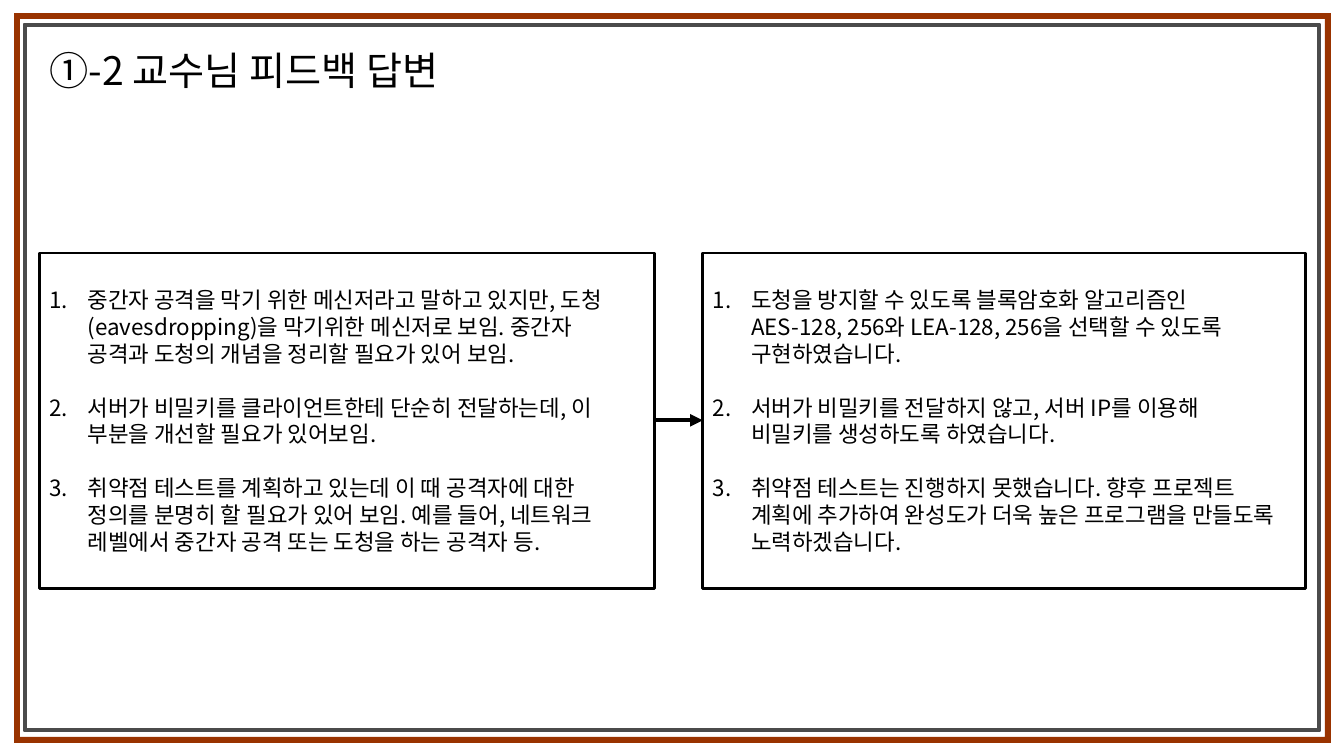
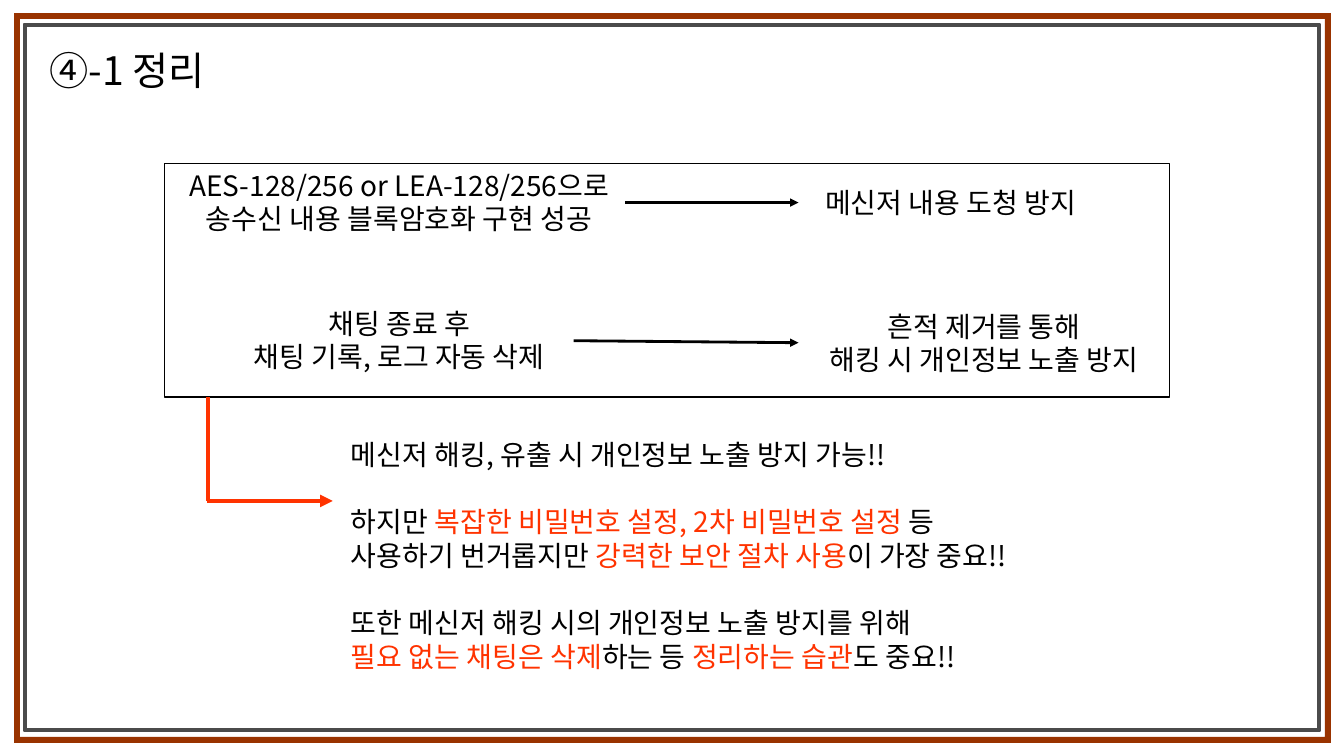
from lxml import etree
from pptx import Presentation
from pptx.dml.color import RGBColor
from pptx.enum.shapes import MSO_CONNECTOR, MSO_SHAPE
from pptx.enum.text import MSO_ANCHOR, MSO_AUTO_SIZE, PP_ALIGN
from pptx.oxml.ns import qn
from pptx.util import Pt

FRAME, RECTANGLE = MSO_SHAPE.FRAME, MSO_SHAPE.RECTANGLE
STRAIGHT = MSO_CONNECTOR.STRAIGHT
LEFT, CENTER = PP_ALIGN.LEFT, PP_ALIGN.CENTER
TOP, NO_FIT = MSO_ANCHOR.TOP, MSO_AUTO_SIZE.NONE

PX = 9144
PAGE = (1333, 750)
FONT = "Noto Sans CJK KR"
LINE_RATIO = 1.2
COLORS = {"ink": "000000", "rust": "993300", "gray": "4B4B4B", "accent": "FF3300"}
TITLE_LAYOUT, LIST_LAYOUT, TWO_LIST_LAYOUT = 5, 1, 3

FEEDBACK = [
    "중간자 공격을 막기 위한 메신저라고 말하고 있지만, 도청\v"
    "(eavesdropping)을 막기위한 메신저로 보임. 중간자\v"
    "공격과 도청의 개념을 정리할 필요가 있어 보임.",
    "서버가 비밀키를 클라이언트한테 단순히 전달하는데, 이 부분을 개선할 필요가 있어보임.",
    "취약점 테스트를 계획하고 있는데 이 때 공격자에 대한\v"
    "정의를 분명히 할 필요가 있어 보임. 예를 들어, 네트워크 "
    "레벨에서 중간자 공격 또는 도청을 하는 공격자 등.",
]
ANSWERS = [
    "도청을 방지할 수 있도록 블록암호화 알고리즘인\v"
    "AES-128, 256와 LEA-128, 256을 선택할 수 있도록\v구현하였습니다.",
    "서버가 비밀키를 전달하지 않고, 서버 IP를 이용해\v비밀키를 생성하도록 하였습니다.",
    "취약점 테스트는 진행하지 못했습니다. 향후 프로젝트\v"
    "계획에 추가하여 완성도가 더욱 높은 프로그램을 만들도록 노력하겠습니다.",
]
CONCLUSION = [
    "메신저 해킹, 유출 시 개인정보 노출 방지 가능!!",
    "하지만 |복잡한 비밀번호 설정, 2차 비밀번호 설정 |등\v"
    "사용하기 번거롭지만 |강력한 보안 절차 사용|이 가장 중요!!",
    "또한 메신저 해킹 시의 개인정보 노출 방지를 위해\v"
    "|필요 없는 채팅은 삭제|하는 등 |정리하는 습관|도 중요!!",
]
SUMMARY_LABELS = [
    ((9, 0, 448, 77), "AES-128/256 or LEA-128/256으로\v송수신 내용 블록암호화 구현 성공"),
    ((60, 137, 346, 77), "채팅 종료 후\v채팅 기록, 로그 자동 삭제"),
    ((629, 17, 302, 44), "메신저 내용 도청 방지"),
    ((629, 140, 368, 77), "흔적 제거를 통해\v해킹 시 개인정보 노출 방지"),
]
SUMMARY_ARROWS = [(457, 39, 629, 39), (406, 176, 629, 178)]


def color(name):
    """Return the named palette colour."""
    return RGBColor.from_string(COLORS[name])


def apply(target, formats):
    """Set every format value on the target."""
    for name, value in formats.items():
        setattr(target, name, value)


def place(shape, box):
    """Move and size a shape to a pixel box."""
    apply(shape, dict(zip(("left", "top", "width", "height"), (n * PX for n in box))))


def outline(shape, name, width):
    """Draw the line of a shape."""
    shape.line.color.rgb = color(name)
    shape.line.width = Pt(width)


def add_span(para, text, name, size):
    """Add one coloured span of text to a paragraph."""
    span = para.add_run()
    span.text = text
    apply(span.font, {"name": FONT, "size": Pt(size)})
    span.font.color.rgb = color(name)
    properties = span.font._element
    etree.SubElement(properties, qn("a:ea"), typeface=FONT)


def write(frame, paragraphs, size, align=LEFT, numbered=False, wrap=True):
    """Fill a text frame; segments between bars take the accent colour."""
    apply(frame, {"word_wrap": wrap, "auto_size": NO_FIT, "vertical_anchor": TOP})
    pitch = Pt(size * LINE_RATIO)
    for index, text in enumerate(paragraphs):
        para = frame.add_paragraph() if index else frame.paragraphs[0]
        properties = para._p.get_or_add_pPr()
        indent = 38 * PX if numbered else 0
        properties.set("marL", str(indent))
        properties.set("indent", str(-indent))
        if numbered:
            etree.SubElement(properties, qn("a:buAutoNum"), type="arabicPeriod")
        else:
            etree.SubElement(properties, qn("a:buNone"))
        apply(para, {"alignment": align, "line_spacing": pitch,
                     "space_before": pitch if index else Pt(0), "space_after": Pt(0)})
        for part, segment in enumerate(text.split("|")):
            for row, line in enumerate(segment.split("\v")):
                if row:
                    para.add_line_break()
                if line:
                    add_span(para, line, "accent" if part % 2 else "ink", size)


def add_arrow(page, ends, name, width, head=True):
    """Draw a straight line, with an arrowhead if wanted."""
    line = page.shapes.add_connector(STRAIGHT, *(n * PX for n in ends))
    outline(line, name, width)
    properties = line.element.spPr
    if head:
        etree.SubElement(properties.find(qn("a:ln")), qn("a:tailEnd"), type="triangle")
    etree.SubElement(properties, qn("a:effectLst"))


def add_border(page, box, name, thickness, line_width=0):
    """Draw one frame around the page."""
    border = page.shapes.add_shape(FRAME, *(n * PX for n in box))
    border.shadow.inherit = False
    border.adjustments[0] = thickness
    border.fill.solid()
    border.fill.fore_color.rgb = color(name)
    if line_width:
        outline(border, name, line_width)
    else:
        border.line.fill.background()


def add_page(deck, layout, title, title_width):
    """Add a page with the shared title and double border."""
    page = deck.slides.add_slide(deck.slide_layouts[layout])
    place(page.shapes.title, (39, 41, title_width, 57))
    write(page.shapes.title.text_frame, [title], 28)
    add_border(page, (14, 13, 1306, 724), "rust", 0.008)
    add_border(page, (24, 24, 1285, 701), "gray", 0.003, 1.5)
    return page


def fill_list_box(holder, box, items):
    """Turn a body placeholder into an outlined numbered list."""
    place(holder, box)
    outline(holder, "ink", 2)
    holder.text_frame.margin_top = 33 * PX
    write(holder.text_frame, items, 16, numbered=True)


def add_summary(page, box):
    """Draw the outlined panel of measures and their effects."""
    left, top = box[:2]
    for (x, y, width, height), text in SUMMARY_LABELS:
        label = page.shapes.add_textbox(*(n * PX for n in (left + x, top + y, width, height)))
        write(label.text_frame, [text], 20, align=CENTER, wrap=False)
    for x1, y1, x2, y2 in SUMMARY_ARROWS:
        add_arrow(page, (left + x1, top + y1, left + x2, top + y2), "ink", 2)
    panel = page.shapes.add_shape(RECTANGLE, *(n * PX for n in box))
    panel.shadow.inherit = False
    panel.fill.background()
    outline(panel, "ink", 1)


def build_feedback(deck):
    """Build the page of feedback and answers."""
    page = add_page(deck, TWO_LIST_LAYOUT, "①-2 교수님 피드백 답변", 453)
    top, height = 251, 333
    boxes = [(39, top, 610, height), (697, top, 598, height)]
    for index, (box, items) in enumerate(zip(boxes, (FEEDBACK, ANSWERS)), 1):
        fill_list_box(page.placeholders[index], box, items)
    middle = top + height // 2
    add_arrow(page, (boxes[0][0] + boxes[0][2], middle, boxes[1][0], middle), "ink", 3)


def build_conclusion(deck):
    """Build the closing page."""
    page = add_page(deck, LIST_LAYOUT, "④-1 정리", 190)
    panel = (163, 162, 997, 232)
    add_summary(page, panel)
    stem, bottom, turn = panel[0] + 43, panel[1] + panel[3], 497
    add_arrow(page, (stem, bottom, stem, turn), "accent", 3, head=False)
    add_arrow(page, (stem - 1, turn, 330, turn), "accent", 3)
    body = page.placeholders[1]
    place(body, (338, 429, 760, 246))
    write(body.text_frame, CONCLUSION, 20)


def main():
    """Build and save the deck."""
    deck = Presentation()
    deck.slide_width, deck.slide_height = (n * PX for n in PAGE)
    build_feedback(deck)
    build_conclusion(deck)
    deck.save("out.pptx")


if __name__ == "__main__":
    main()
